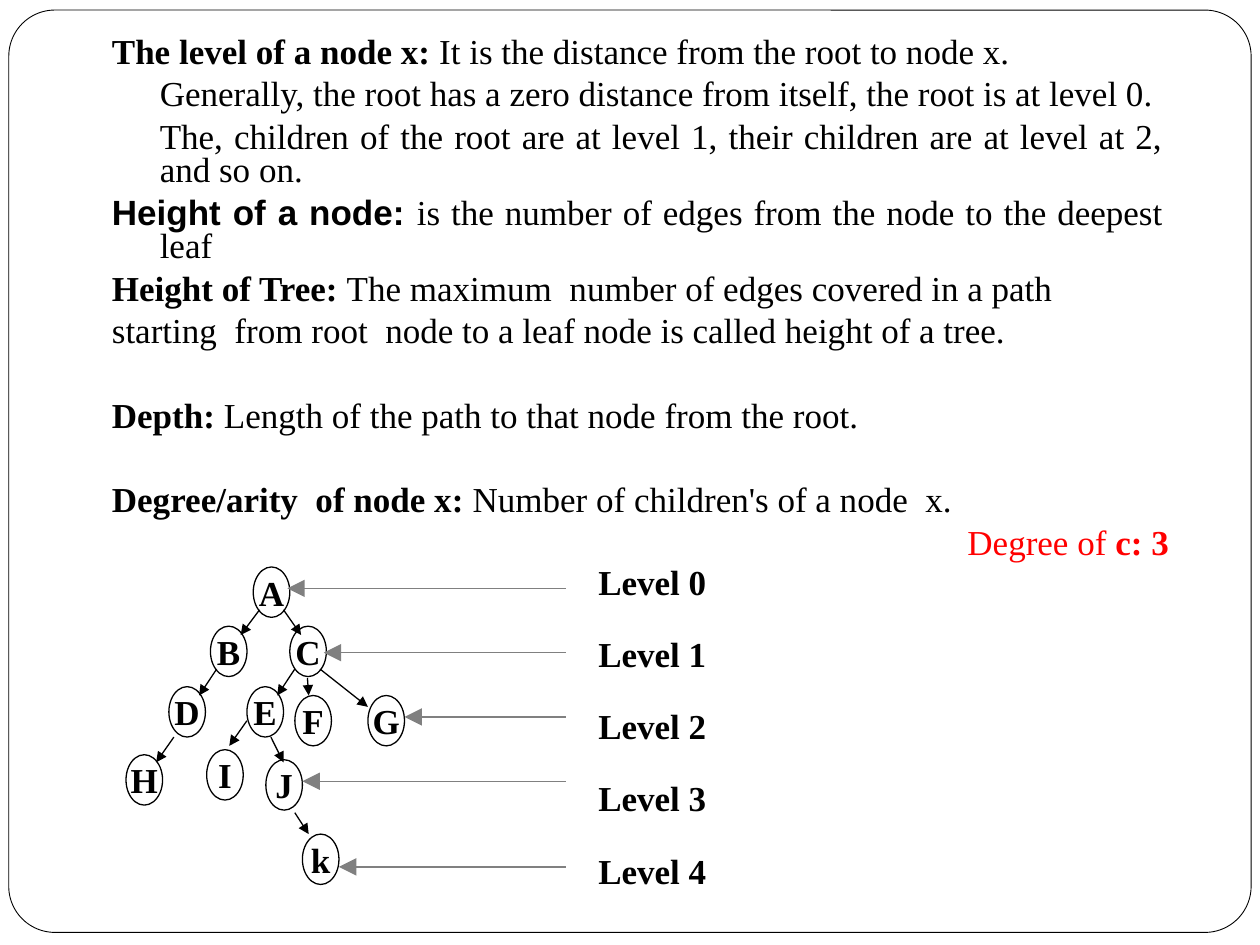
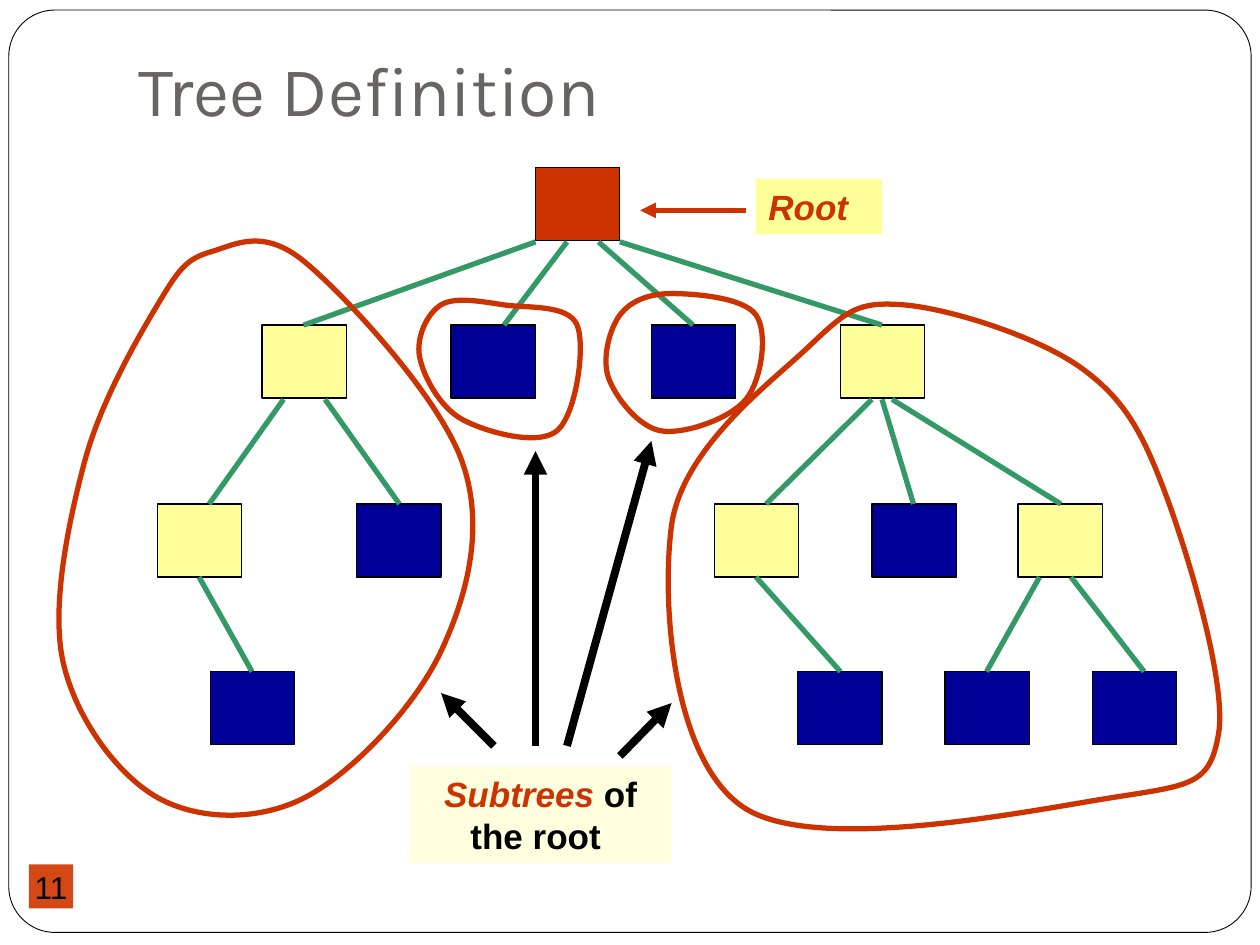
from dataclasses import dataclass

from pptx import Presentation
from pptx import util as u
from pptx.dml.color import RGBColor
from pptx.enum import shapes, text
from pptx.oxml import ns, xmlchemy

PX = 9144  # EMU per px, at 100 px to the inch
ALIGN = text.PP_ALIGN
MIDDLE = text.MSO_ANCHOR.MIDDLE


@dataclass(frozen=True)
class Theme:
    serif: str = "Times New Roman"
    sans: str = "Arial"
    display: str = "Karla"
    title_size: int = 40
    body_size: int = 20
    number_size: int = 18
    ink: str = "000000"
    title: str = "696464"
    pointer: str = "808080"
    alert: str = "FF0000"
    badge: str = "D34817"
    root: str = "CC3300"
    branch: str = "FFFF99"
    leaf: str = "000099"
    edge: str = "339966"
    caption: str = "FFFFDF"
    hair: float = 0.5
    thin: float = 0.75
    thick: float = 3
    heavy: float = 4.5


THEME = Theme()

# Level tree: letter, left, top
LETTER_NODES = [
    ("A", 201, 450), ("B", 167, 497), ("C", 230, 497), ("D", 134, 545),
    ("E", 196, 545), ("F", 234, 552), ("G", 292, 552), ("H", 100, 599),
    ("I", 164, 595), ("J", 211, 603), ("k", 240, 662),
]
LETTER_EDGES = [
    (206, 484, 191, 504), (225, 484, 239, 504), (172, 531, 158, 552),
    (138, 585, 124, 605), (254, 531, 292, 561), (234, 531, 220, 552),
    (244, 538, 245, 552), (196, 572, 182, 592), (215, 585, 225, 605),
    (234, 645, 245, 662),
]
LEVEL_POINTERS = [(228, 467), (257, 518), (321, 569), (240, 620), (269, 688)]

# Box tree: top of each row, then boxes as (row, lefts)
ROW_TOPS = [133, 258, 400, 533]
ROW_BOTTOMS = [192, 317, 458]
BOX_WIDTH, BOX_HEIGHT = 67, 58
ROOT_BOXES = [(0, [425])]
BRANCH_BOXES = [(1, [208, 667]), (2, [125, 567, 808])]
LEAF_BOXES = [(1, [358, 517]), (2, [283, 692]), (3, [167, 633, 750, 867])]
# Edges under each row: (x at parent, x at child)
ROW_EDGES = [
    [(425, 241), (450, 400), (475, 550), (492, 700)],
    [(225, 166), (258, 317), (692, 608), (700, 725), (708, 842)],
    [(158, 200), (600, 667), (825, 783), (850, 908)],
]
# Points that each subtree outline passes through
SUBTREE_OUTLINES = [
    [(242, 208), (367, 367), (350, 517), (242, 633), (125, 633), (50, 525),
     (67, 367), (125, 242), (167, 200)],
    [(717, 242), (858, 292), (925, 392), (967, 583), (883, 633), (592, 642),
     (533, 417), (642, 275)],
    [(400, 242), (458, 258), (442, 342), (367, 333), (333, 283), (350, 242)],
    [(533, 233), (600, 250), (592, 317), (525, 342), (483, 300), (492, 250)],
]
SUBTREE_ARROWS = [
    (450, 592, 517, 350), (425, 592, 425, 358),
    (392, 592, 350, 550), (492, 600, 533, 558),
]


def color(value):
    return RGBColor.from_string(value)


def emu(*lengths):
    return [u.Emu(length * PX) for length in lengths]


# Shapes and lines
def style(shape, fill=None, line=None, width=THEME.thin):
    shape.shadow.inherit = False
    if fill:
        shape.fill.solid()
        shape.fill.fore_color.rgb = color(fill)
    else:
        shape.fill.background()
    if line:
        shape.line.color.rgb = color(line)
        shape.line.width = u.Pt(width)
    else:
        shape.line.fill.background()


def add_box(page, kind, place, **look):
    shape = page.shapes.add_shape(kind, *emu(*place))
    style(shape, **look)
    return shape


def add_line(page, ends, line, width, head=None):
    """Draw a line; head is the arrowhead size, "med" or "lg"."""
    connector = page.shapes.add_connector(shapes.MSO_CONNECTOR.STRAIGHT, *emu(*ends))
    connector.line.color.rgb = color(line)
    connector.line.width = u.Pt(width)
    properties = connector._element.spPr
    if head:
        tip = xmlchemy.OxmlElement("a:tailEnd")
        for name, value in (("type", "triangle"), ("w", head), ("len", head)):
            tip.set(name, value)
        properties.find(ns.qn("a:ln")).append(tip)
    properties.append(xmlchemy.OxmlElement("a:effectLst"))


def curve_points(anchors):
    """Two control points and an end point for each part of a closed smooth curve."""
    points = []
    count = len(anchors)
    for index in range(count):
        before, start, end, after = (anchors[(index + k) % count] for k in (-1, 0, 1, 2))
        points.append([b + (c - a) / 6 for a, b, c in zip(before, start, end)])
        points.append([c - (d - b) / 6 for b, c, d in zip(start, end, after)])
        points.append(end)
    return [(x * PX, y * PX) for x, y in points]


def add_outline(page, anchors):
    x, y = anchors[0]
    builder = page.shapes.build_freeform(x * PX, y * PX, scale=1.0)
    builder.add_line_segments(curve_points(anchors), close=True)
    outline = builder.convert_to_shape()
    style(outline, line=THEME.root, width=THEME.thick)
    # Turn each three straight segments into one curve
    segments = list(outline._element.iter(ns.qn("a:lnTo")))
    for first in range(0, len(segments), 3):
        curve = xmlchemy.OxmlElement("a:cubicBezTo")
        segments[first].addprevious(curve)
        for segment in segments[first:first + 3]:
            curve.append(segment[0])
            segment.getparent().remove(segment)


# Text
def set_font(font, name=None, size=None, ink=None, bold=None, italic=None):
    if name:
        font.name = name
    if size:
        font.size = u.Pt(size)
    if ink:
        font.color.rgb = color(ink)
    if bold is not None:
        font.bold = bold
    if italic is not None:
        font.italic = italic


def prepare_frame(shape, wrap=True, anchor=text.MSO_ANCHOR.TOP, margins=(10, 5)):
    frame = shape.text_frame
    frame.word_wrap = wrap
    frame.vertical_anchor = anchor
    frame.margin_left = frame.margin_right = u.Emu(margins[0] * PX)
    frame.margin_top = frame.margin_bottom = u.Emu(margins[1] * PX)
    return frame


def add_text_box(page, place):
    return prepare_frame(page.shapes.add_textbox(*emu(*place)))


def write(para, spans, align=ALIGN.LEFT, before=0, spacing=None, **font):
    """Fill a paragraph with spans given as (words, font changes)."""
    para.alignment = align
    para.space_before = u.Pt(before)
    if spacing:
        para.line_spacing = spacing
    set_font(para.font, **font)
    for words, changes in spans:
        span = para.add_run()
        span.text = words
        set_font(span.font, **changes)


def next_para(frame, index):
    return frame.add_paragraph() if index else frame.paragraphs[0]


def indent(para, left, first):
    properties = para._p.get_or_add_pPr()
    properties.set("marL", str(left * PX))
    properties.set("indent", str(first * PX))


# Shared by both slides
def add_page(deck):
    page = deck.slides.add_slide(deck.slide_layouts[6])
    frame = add_box(page, shapes.MSO_SHAPE.ROUNDED_RECTANGLE, (7, 8, 986, 732),
                    line=THEME.ink, width=THEME.hair)
    frame.adjustments[0] = 0.05
    return page


# Slide 1
def add_definitions(page):
    # term, its font, meaning, alignment, space before, line spacing
    full, left = ALIGN.JUSTIFY, ALIGN.LEFT
    serif, sans = THEME.serif, THEME.sans
    definitions = [
        ("The level of a node x: ", serif, "It is the distance from the root to node x.", full, 5, 0.8),
        ("", serif, "Generally, the root has a zero distance from itself, the root is at level 0.",
         full, 5, 0.8),
        ("", serif, "The, children of the root are at level 1, their children are at level at 2, "
         "and so on.", full, 5, 0.8),
        ("Height of a node: ", sans, "is the number of edges from the node to the deepest leaf",
         full, 5, 0.8),
        ("Height of Tree: ", serif, "The maximum  number of edges covered in a path", full, 5, 0.8),
        ("", serif, "starting  from root  node to a leaf node is called height of a tree.",
         full, 5, 0.8),
        ("Depth: ", serif, "Length of the path to that node from the root.", left, 24.5, 1.0),
        ("Degree/arity  of node x: ", serif, "Number of children's of a node  x.", left, 28.5, 0.8),
    ]
    frame = add_text_box(page, (79, 25, 854, 475))
    for index, (term, name, meaning, align, before, spacing) in enumerate(definitions):
        para = next_para(frame, index)
        spans = [(term, {"name": name, "bold": True})] if term else []
        write(para, spans + [(meaning, {})], align, before, spacing,
              name=serif, size=THEME.body_size, ink=THEME.ink)
        is_note = index in (1, 2)
        indent(para, 38, 0 if is_note else -38)


def add_letter_tree(page):
    for ends in LETTER_EDGES:
        add_line(page, ends, THEME.ink, THEME.thin, "med")
    for letter, left, top in LETTER_NODES:
        node = add_box(page, shapes.MSO_SHAPE.OVAL, (left, top, 29, 40), line=THEME.ink)
        frame = prepare_frame(node, wrap=False, anchor=MIDDLE)
        write(frame.paragraphs[0], [(letter, {})], ALIGN.CENTER,
              name=THEME.serif, size=THEME.body_size, ink=THEME.ink, bold=True)


def add_levels(page):
    frame = add_text_box(page, (465, 433, 110, 280))
    for level, (tip, y) in enumerate(LEVEL_POINTERS):
        add_line(page, (449, y, tip, y), THEME.pointer, THEME.thin, "lg")
        write(next_para(frame, level), [(f"Level {level}", {})], before=12.5, spacing=1.2,
              name=THEME.serif, size=THEME.body_size, ink=THEME.ink, bold=True)


def build_levels_page(deck):
    page = add_page(deck)
    add_definitions(page)
    add_letter_tree(page)
    add_levels(page)
    degree = add_text_box(page, (758, 408, 183, 44))
    write(degree.paragraphs[0], [("Degree of ", {}), ("c: 3", {"bold": True})],
          name=THEME.serif, size=THEME.body_size, ink=THEME.alert)


# Slide 2
def add_box_tree(page):
    for fill, rows in ((THEME.root, ROOT_BOXES), (THEME.branch, BRANCH_BOXES),
                       (THEME.leaf, LEAF_BOXES)):
        for row, lefts in rows:
            for left in lefts:
                add_box(page, shapes.MSO_SHAPE.RECTANGLE,
                        (left, ROW_TOPS[row], BOX_WIDTH, BOX_HEIGHT),
                        fill=fill, line=THEME.ink)
    for bottom, below, edges in zip(ROW_BOTTOMS, ROW_TOPS[1:], ROW_EDGES):
        for parent_x, child_x in edges:
            add_line(page, (parent_x, bottom, child_x, below), THEME.edge, THEME.thick)


def add_caption(page, place, fill, spans, align=ALIGN.LEFT):
    box = add_box(page, shapes.MSO_SHAPE.RECTANGLE, place, fill=fill)
    write(prepare_frame(box).paragraphs[0], spans, align, before=12.5,
          name=THEME.sans, size=THEME.body_size, bold=True)


def build_definition_page(deck):
    page = add_page(deck)
    # Number badge and title
    badge = add_box(page, shapes.MSO_SHAPE.RECTANGLE, (23, 686, 35, 35), fill=THEME.badge)
    number = prepare_frame(badge, anchor=MIDDLE, margins=(0, 0))
    write(number.paragraphs[0], [("11", {})], ALIGN.CENTER,
          name=THEME.sans, size=THEME.number_size, ink=THEME.ink)
    title = add_text_box(page, (100, 25, 850, 91))
    title.vertical_anchor = MIDDLE
    write(title.paragraphs[0], [("Tree Definition", {})],
          name=THEME.display, size=THEME.title_size, ink=THEME.title)
    # Tree and subtree outlines
    add_box_tree(page)
    for anchors in SUBTREE_OUTLINES:
        add_outline(page, anchors)
    # Captions and their arrows
    accent = {"ink": THEME.root, "italic": True}
    add_caption(page, (325, 608, 208, 77), THEME.caption,
                [("Subtrees", accent), (" of the root ", {"ink": THEME.ink})], ALIGN.CENTER)
    for ends in SUBTREE_ARROWS:
        add_line(page, ends, THEME.ink, THEME.heavy, "med")
    add_caption(page, (600, 142, 100, 44), THEME.branch, [("Root", accent)])
    add_line(page, (592, 167, 508, 167), THEME.root, THEME.thick, "med")


def main():
    deck = Presentation()
    deck.slide_width, deck.slide_height = emu(1000, 750)
    build_levels_page(deck)
    build_definition_page(deck)
    deck.save("out.pptx")


if __name__ == "__main__":
    main()
